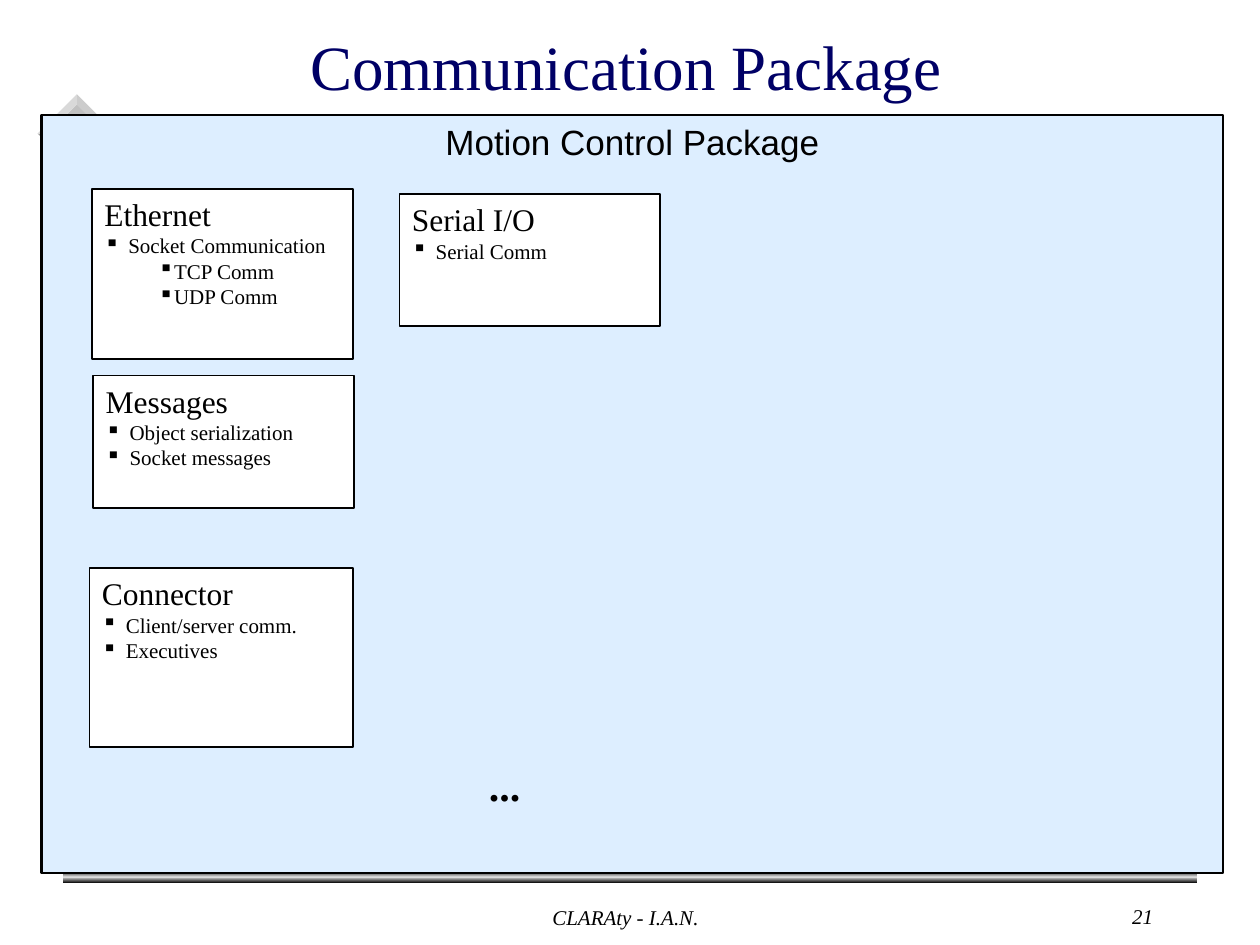
from lxml.etree import SubElement
from pptx import Presentation
from pptx.dml.color import RGBColor
from pptx.enum.shapes import MSO_SHAPE as Shape
from pptx.enum.text import MSO_ANCHOR as Anchor, PP_ALIGN as Align
from pptx.oxml.ns import qn
from pptx.util import Inches, Pt

SERIF, SANS = "Times New Roman", "Arial"
BLACK, WHITE, NAVY, PALE, SILVER = "000000", "FFFFFF", "000066", "DDEEFF", "C0C0C0"

# Content: heading, (level, bullet) items, and left, top, width, height in inches
MODULES = [
    ("Ethernet", [(0, "Socket Communication"), (1, "TCP Comm"), (1, "UDP Comm")],
     (0.73, 1.5, 2.07, 1.35)),
    ("Messages", [(0, "Object serialization"), (0, "Socket messages")],
     (0.74, 2.98, 2.07, 1.05)),
    ("Connector", [(0, "Client/server comm."), (0, "Executives")],
     (0.71, 4.51, 2.09, 1.42)),
    ("Serial I/O", [(0, "Serial Comm")], (3.17, 1.54, 2.07, 1.05)),
]
INDENTS = [(0.19, -0.19), (0.31, 0.12)]  # left margin and first line, by level


def color(value):
    return RGBColor.from_string(value)


def add_block(page, kind, area, fill=None, line_width=None):
    block = page.shapes.add_shape(kind, *map(Inches, area))
    block.shadow.inherit = False
    if fill:
        block.fill.solid()
        block.fill.fore_color.rgb = color(fill)
    if line_width:
        block.line.color.rgb = color(BLACK)
        block.line.width = Pt(line_width)
    else:
        block.line.fill.background()
    return block


def style(para, size, font=SERIF, ink=BLACK, align=Align.LEFT, bold=False, italic=False):
    para.alignment = align
    for span in para.runs:
        span.font.name, span.font.size = font, Pt(size)
        span.font.bold, span.font.italic = bold, italic
        span.font.color.rgb = color(ink)


def set_indent(para, level, bullet):
    para.level = level
    margin, first = INDENTS[level]
    props = para._p.get_or_add_pPr()
    props.set("marL", str(Inches(margin)))
    props.set("indent", str(Inches(first)))
    if bullet:
        tint = SubElement(props, qn("a:buClr"))
        SubElement(tint, qn("a:srgbClr"), val=BLACK)
        SubElement(props, qn("a:buChar"), char="▪")


def add_label(page, text, area, size, wrap=True, anchor=Anchor.TOP, **look):
    box = page.shapes.add_textbox(*map(Inches, area))
    frame = box.text_frame
    frame.text = text
    frame.word_wrap = wrap
    frame.vertical_anchor = anchor
    style(frame.paragraphs[0], size, **look)


def add_module(page, heading, items, area):
    frame = add_block(page, Shape.RECTANGLE, area, WHITE, 1).text_frame
    frame.text = "\n".join([heading] + [text for _, text in items])
    frame.word_wrap = True
    frame.vertical_anchor = Anchor.TOP
    title, *bullets = frame.paragraphs
    set_indent(title, 0, False)
    style(title, 18)
    for para, (level, _) in zip(bullets, items):
        set_indent(para, level, True)
        style(para, 12)


def main():
    deck = Presentation()
    deck.slide_width, deck.slide_height = Inches(10), Inches(7.5)
    page = deck.slides.add_slide(deck.slide_layouts[6])

    # Backdrop: corner diamond and bottom bar
    diamond = add_block(page, Shape.BEVEL, (0.39, 0.84, 0.44, 0.44), SILVER)
    diamond.rotation = 45
    diamond.adjustments[0] = 0.13
    bar = add_block(page, Shape.RECTANGLE, (0.5, 6.91, 9, 0.1))
    bar.fill.gradient()
    bar.fill.gradient_angle = 270
    stops = bar.fill._fill._gradFill.find(qn("a:gsLst"))
    for stop in list(stops):
        stops.remove(stop)
    for share, tone in [(0, BLACK), (50, "DDDDDD"), (100, BLACK)]:
        stop = SubElement(stops, qn("a:gs"), pos=str(share * 1000))
        SubElement(stop, qn("a:srgbClr"), val=tone)

    add_label(page, "Communication Package", (1.76, 0.23, 6.42, 0.58), 36,
              anchor=Anchor.MIDDLE, ink=NAVY, align=Align.CENTER)

    # Package panel
    panel = add_block(page, Shape.RECTANGLE, (0.33, 0.91, 9.38, 6.02), PALE, 1.25)
    frame = panel.text_frame
    frame.text = "Motion Control Package"
    frame.vertical_anchor = Anchor.TOP
    style(frame.paragraphs[0], 20, font=SANS, align=Align.CENTER)

    for module in MODULES:
        add_module(page, *module)
    add_label(page, "...", (3.78, 5.98, 0.45, 0.5), 24, wrap=False,
              align=Align.CENTER, bold=True)

    # Footer
    add_label(page, "CLARAty - I.A.N.", (3.38, 7.13, 3.17, 0.2), 12,
              align=Align.CENTER, italic=True)
    add_label(page, "21", (7.17, 7.12, 2.08, 0.22), 12, align=Align.RIGHT, italic=True)

    deck.save("out.pptx")


if __name__ == "__main__":
    main()
